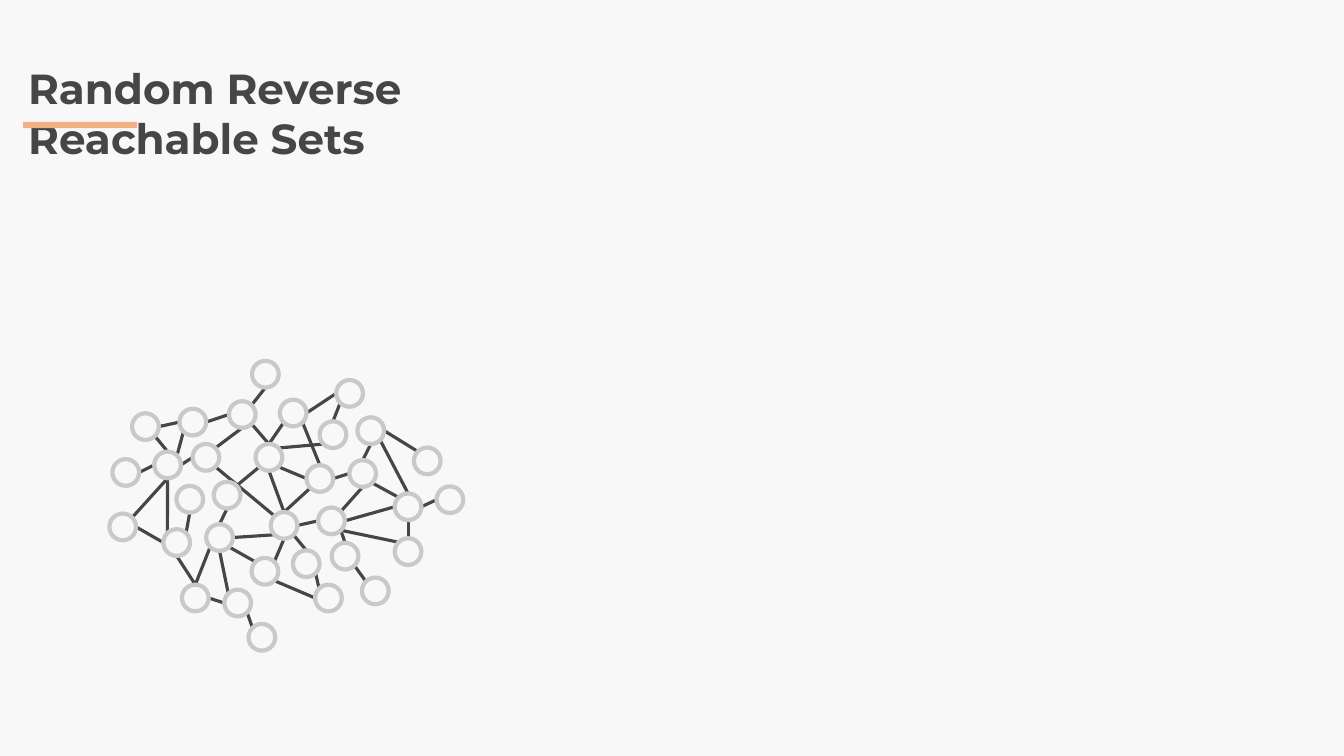
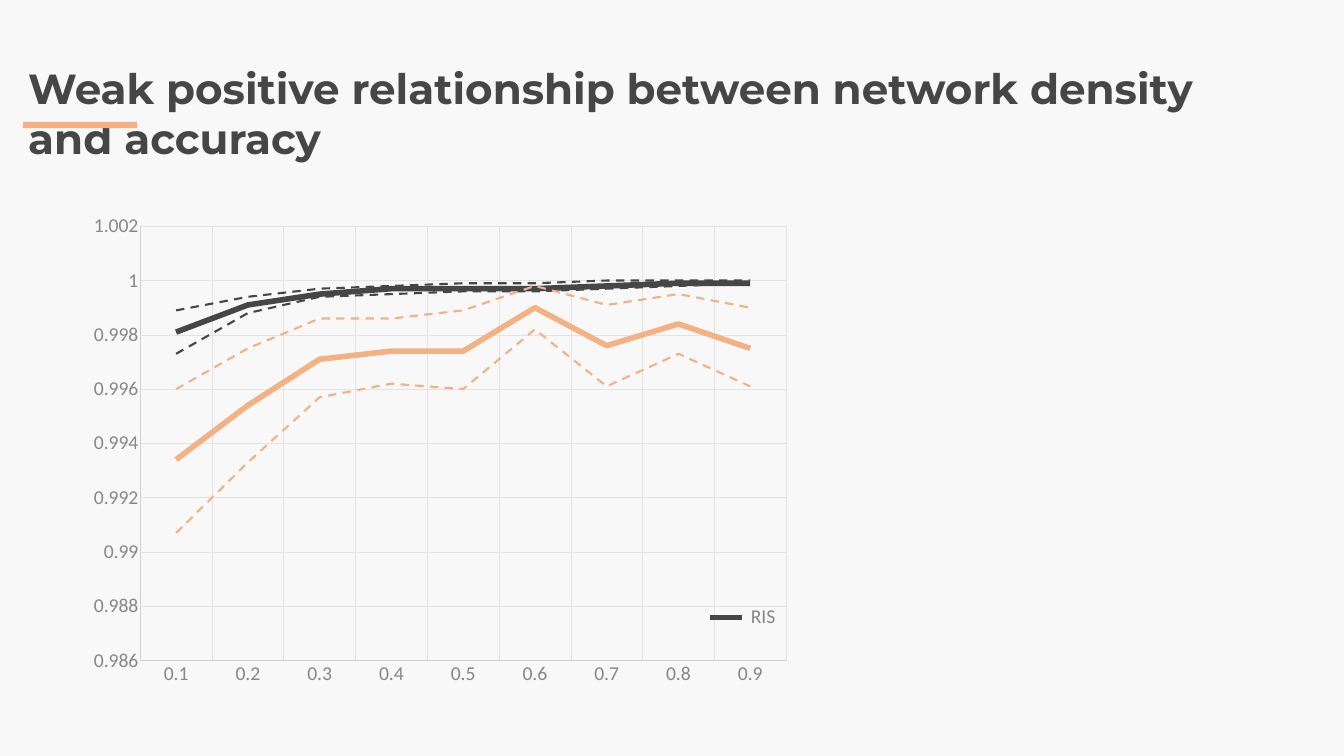
import lxml.etree
import pptx
import pptx.chart.data
import pptx.dml.color
import pptx.enum.chart
import pptx.enum.dml
import pptx.enum.shapes
import pptx.enum.text
import pptx.oxml.ns
import pptx.util

INK = pptx.dml.color.RGBColor(0x46, 0x46, 0x46)
ACCENT = pptx.dml.color.RGBColor(0xF4, 0xB1, 0x83)
PAPER = pptx.dml.color.RGBColor(0xF8, 0xF8, 0xF8)
RING = pptx.dml.color.RGBColor(0xC9, 0xC9, 0xC9)
LABEL = pptx.dml.color.RGBColor(0x87, 0x87, 0x87)
AXIS = pptx.dml.color.RGBColor(0xD1, 0xD1, 0xD1)
GRIDLINE = pptx.dml.color.RGBColor(0xE3, 0xE3, 0xE3)

COLUMNS, ROWS = 26.66, 15
CELL = pptx.util.Inches(1)
MARGIN = 0.46
NODE_SIZE = 0.53
NEAR, MIDDLE, FAR = 0.15, 0.5, 0.85
RIM = {
    "N": (MIDDLE, 0), "NE": (FAR, NEAR), "E": (1, MIDDLE), "SE": (FAR, FAR),
    "S": (MIDDLE, 1), "SW": (NEAR, FAR), "W": (0, MIDDLE), "NW": (NEAR, NEAR),
}

NODES = {
    "A": (2.62, 8.2), "B": (3.56, 8.11), "C": (4.54, 7.96),
    "D": (5, 7.16), "E": (5.55, 7.93), "F": (6.67, 7.54),
    "G": (6.34, 8.36), "H": (7.09, 8.28), "I": (8.21, 8.88),
    "J": (2.23, 9.11), "K": (3.06, 8.96), "L": (3.82, 8.81),
    "M": (5.07, 8.81), "N": (6.08, 9.23), "O": (6.93, 9.13),
    "P": (7.83, 9.79), "Q": (8.66, 9.65), "R": (2.17, 10.19),
    "S": (3.5, 9.64), "T": (3.24, 10.5), "U": (4.24, 9.56),
    "V": (4.09, 10.4), "W": (5.37, 10.16), "X": (6.31, 10.07),
    "Y": (4.99, 11.07), "Z": (5.81, 10.92), "a": (6.58, 10.77),
    "b": (7.83, 10.68), "c": (7.18, 11.46), "d": (6.25, 11.6),
    "e": (3.61, 11.6), "f": (4.45, 11.7), "g": (4.93, 12.38),
}

EDGES = """
A.SE-K.N J.E-K.W R.NE-K.S T.NW-K.S B.SW-K.NE B.W-A.E L.W-K.E C.W-B.E
C.S-L.NE C.SE-M.N U.NE-M.SW U.S-V.N W.NW-L.SE T.W-R.E E.SW-M.N E.SE-N.N
M.SE-N.W W.N-N.SW M.NE-G.SW E.E-F.W G.N-F.SW W.SW-V.E S.S-T.NE T.S-e.N
V.SW-e.N g.NW-f.SE f.NW-V.S Y.NW-V.SE Z.N-W.SE O.N-H.S I.NW-H.E O.SE-P.NW
P.N-H.SE P.W-X.E a.N-X.SE W.E-X.W P.S-b.N N.E-O.W Z.SE-d.NW Y.SE-d.W
W.S-Y.NE M.S-W.N c.NW-a.SE Q.W-P.E C.NE-D.S O.S-X.NE f.W-e.E b.NW-X.SE
"""

DENSITIES = [f"0.{tenth}" for tenth in range(1, 10)]
MEAN, BOUND = (8, None), (3, pptx.enum.dml.MSO_LINE.DASH)
LEADING_METHOD = " RIS"
ACCURACY = [
    (INK, MEAN,
     (0.9981, 0.9991, 0.9995, 0.9997, 0.9997, 0.9997, 0.9998, 0.9999, 0.9999)),
    (ACCENT, MEAN,
     (0.9934, 0.9954, 0.9971, 0.9974, 0.9974, 0.999, 0.9976, 0.9984, 0.9975)),
    (INK, BOUND,
     (0.9973, 0.9988, 0.9994, 0.9995, 0.9996, 0.9996, 0.9997, 0.9998, 0.9999)),
    (INK, BOUND,
     (0.9989, 0.9994, 0.9997, 0.9998, 0.9999, 0.9999, 1, 1, 1)),
    (ACCENT, BOUND,
     (0.9907, 0.9933, 0.9957, 0.9962, 0.996, 0.9982, 0.9961, 0.9973, 0.9961)),
    (ACCENT, BOUND,
     (0.996, 0.9975, 0.9986, 0.9986, 0.9989, 0.9998, 0.9991, 0.9995, 0.999)),
]


def cells(*counts):
    return [round(count * CELL) for count in counts]


def rim_point(anchor):
    node, side = anchor.split(".")
    return [start + NODE_SIZE * share for start, share in zip(NODES[node], RIM[side])]


def style_line(line, color, points, dash=None):
    line.color.rgb = color
    line.width = pptx.util.Pt(points)
    if dash is not None:
        line.dash_style = dash


def style_font(font, name, size, color):
    font.name = name
    font.size = pptx.util.Pt(size)
    font.color.rgb = color


def chart_layout(target, **shares):
    tag = pptx.oxml.ns.qn
    layout = lxml.etree.Element(tag("c:layout"))
    manual = lxml.etree.SubElement(layout, tag("c:manualLayout"))
    if target:
        lxml.etree.SubElement(manual, tag("c:layoutTarget"), val=target)
    for mode in ("xMode", "yMode"):
        lxml.etree.SubElement(manual, tag(f"c:{mode}"), val="edge")
    for side, share in shares.items():
        lxml.etree.SubElement(manual, tag(f"c:{side}"), val=str(share))
    return layout


def drop_layout(parent):
    for layout in parent.findall(pptx.oxml.ns.qn("c:layout")):
        parent.remove(layout)


class Deck:
    def __init__(self):
        self.presentation = pptx.Presentation()
        self.presentation.slide_width, self.presentation.slide_height = cells(COLUMNS, ROWS)
        background = self.presentation.slide_master.background.fill
        background.solid()
        background.fore_color.rgb = PAPER
        self.slide = None

    def add_slide(self, heading, columns):
        self.slide = self.presentation.slides.add_slide(self.presentation.slide_layouts[5])
        title = self.slide.shapes.title
        title.left, title.top, title.width, title.height = cells(MARGIN, 1.19, columns, 1.11)
        frame = title.text_frame
        frame.text = heading
        frame.word_wrap = True
        frame.auto_size = pptx.enum.text.MSO_AUTO_SIZE.SHAPE_TO_FIT_TEXT
        frame.vertical_anchor = pptx.enum.text.MSO_ANCHOR.TOP
        paragraph = frame.paragraphs[0]
        paragraph.alignment = pptx.enum.text.PP_ALIGN.LEFT
        style_font(paragraph.font, "Montserrat", 60, INK)
        paragraph.font.bold = True
        underline = self.shape(pptx.enum.shapes.MSO_SHAPE.RECTANGLE, MARGIN, 2.42, 2.26, 0.12)
        underline.fill.solid()
        underline.fill.fore_color.rgb = ACCENT
        underline.line.fill.background()

    def shape(self, preset, *box):
        shape = self.slide.shapes.add_shape(preset, *cells(*box))
        shape.shadow.inherit = False
        return shape

    def node(self, column, row):
        ring = self.shape(pptx.enum.shapes.MSO_SHAPE.OVAL, column, row, NODE_SIZE, NODE_SIZE)
        ring.fill.background()
        style_line(ring.line, RING, 6)

    def edge(self, start, end):
        edge = self.slide.shapes.add_connector(
            pptx.enum.shapes.MSO_CONNECTOR.STRAIGHT, *cells(*start, *end))
        style_line(edge.line, INK, 4.5)
        lxml.etree.SubElement(edge._element.spPr, pptx.oxml.ns.qn("a:effectLst"))

    def line_chart(self, categories, leading_name, rows, *box):
        data = pptx.chart.data.CategoryChartData()
        data.categories = categories
        for number, (_, _, values) in enumerate(rows, 1):
            data.add_series(leading_name if number == 1 else f"Series {number}", values)
        chart = self.slide.shapes.add_chart(
            pptx.enum.chart.XL_CHART_TYPE.LINE, *cells(*box), data).chart
        chart.has_title = False
        style_font(chart.font, "Calibri", 28, INK)
        chart.plots[0].vary_by_categories = False
        for series, (color, (points, dash), _) in zip(chart.plots[0].series, rows):
            series.smooth = False
            style_line(series.format.line, color, points, dash)
        for axis in (chart.category_axis, chart.value_axis):
            self.axis(axis)
        plot_area = chart._chartSpace.chart.plotArea
        drop_layout(plot_area)
        plot_area.insert(0, chart_layout("inner", x=0.084, y=0.045, w=0.896, h=0.883))
        return chart

    def axis(self, axis):
        axis.major_tick_mark = axis.minor_tick_mark = pptx.enum.chart.XL_TICK_MARK.NONE
        axis.has_major_gridlines = True
        style_line(axis.major_gridlines.format.line, GRIDLINE, 0.75)
        style_line(axis.format.line, AXIS, 0.75)
        style_font(axis.tick_labels.font, "Calibri", 28, LABEL)

    def legend(self, chart, hidden):
        chart.has_legend = True
        legend = chart.legend
        legend.position = pptx.enum.chart.XL_LEGEND_POSITION.CORNER
        legend.include_in_layout = True
        style_font(legend.font, "Calibri", 28, LABEL)
        tag = pptx.oxml.ns.qn
        element = legend._element
        drop_layout(element)
        position = element.find(tag("c:legendPos"))
        position.addnext(chart_layout(None, x=0.86, y=0.8, w=0.12, h=0.08))
        for index in reversed(hidden):
            entry = lxml.etree.Element(tag("c:legendEntry"))
            lxml.etree.SubElement(entry, tag("c:idx"), val=str(index))
            lxml.etree.SubElement(entry, tag("c:delete"), val="1")
            position.addnext(entry)


def main():
    deck = Deck()

    deck.add_slide("Random Reverse Reachable Sets", 12.1)
    for edge in EDGES.split():
        deck.edge(*map(rim_point, edge.split("-")))
    for corner in NODES.values():
        deck.node(*corner)

    deck.add_slide("Weak positive relationship between network density and accuracy", 24.1)
    accuracy = deck.line_chart(DENSITIES, LEADING_METHOD, ACCURACY, 1.58, 4.05, 14.3, 9.76)
    scale = accuracy.value_axis
    scale.minimum_scale, scale.maximum_scale, scale.major_unit = 0.986, 1.002, 0.002
    deck.legend(accuracy, range(1, len(ACCURACY)))

    deck.presentation.save("out.pptx")


if __name__ == "__main__":
    main()
